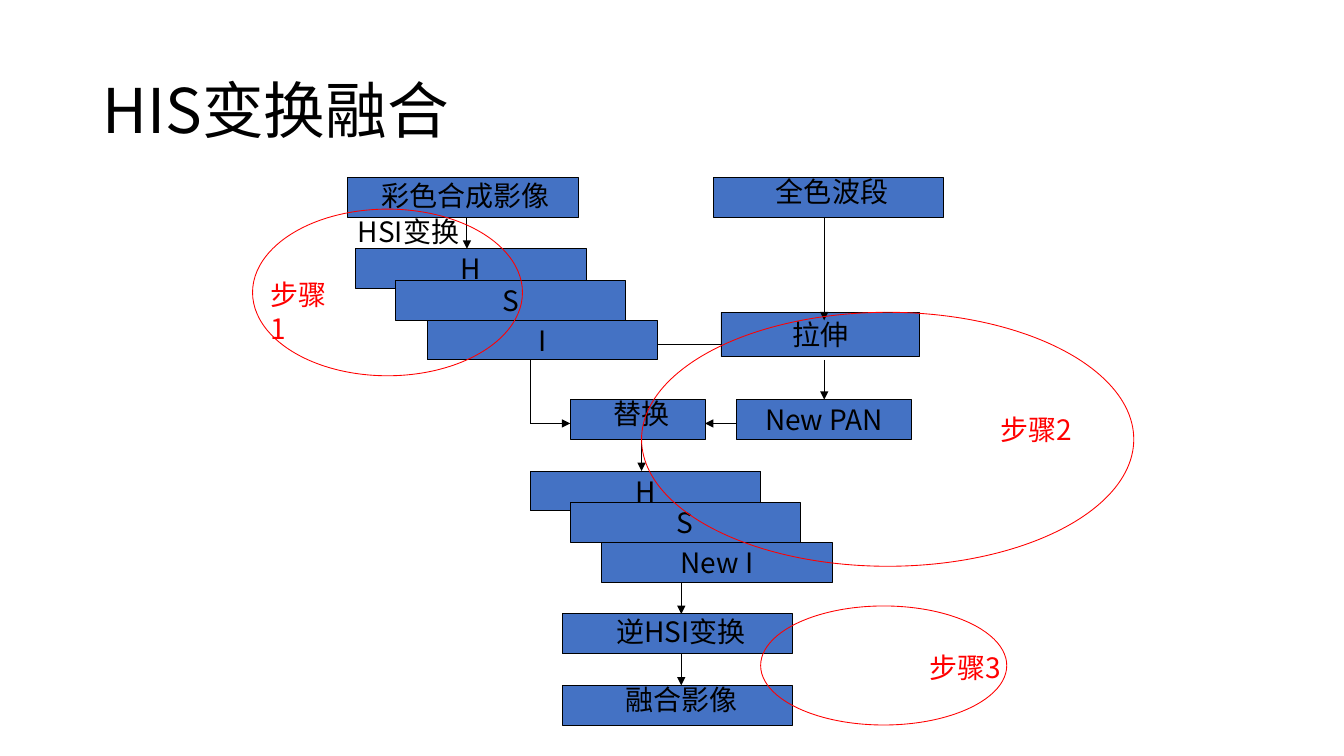
"""Build the HIS transform fusion flowchart slide on a 2 mm grid."""
import pptx
import pptx.dml.color
import pptx.enum.shapes
import pptx.enum.text
import pptx.oxml.ns
import pptx.util
import lxml.etree

RGB = pptx.dml.color.RGBColor.from_string
SHAPE = pptx.enum.shapes.MSO_SHAPE
ALIGN = pptx.enum.text.PP_ALIGN
ANCHOR = pptx.enum.text.MSO_ANCHOR
THEME = {
    "font": "Noto Sans CJK SC", "title": 44, "body": 20, "line": 0.63,
    "ink": RGB("000000"), "box": RGB("4472C4"), "step": RGB("FF0000"),
}
UNIT = pptx.util.Mm(2)
LEFT, TOP = pptx.util.Inches(3.45), pptx.util.Inches(1.76)
BOX_W, BOX_H, LABEL_W, LABEL_H = 29, 5, 24, 5.6


def place(col, row, *size):
    """Turn grid columns and rows into slide lengths."""
    return [int(LEFT + col * UNIT), int(TOP + row * UNIT)] + [int(n * UNIT) for n in size]


def write(sp, text, size=THEME["body"], color=THEME["ink"], align=ALIGN.LEFT, anchor=ANCHOR.TOP):
    """Set and format one line of text in a shape."""
    tf = sp.text_frame
    tf.text = text
    tf.word_wrap = True
    tf.vertical_anchor = anchor
    p = tf.paragraphs[0]
    p.alignment = align
    f = p.runs[0].font
    f.size, f.name, f.color.rgb = pptx.util.Pt(size), THEME["font"], color
    ea = lxml.etree.SubElement(p.runs[0]._r.get_or_add_rPr(), pptx.oxml.ns.qn("a:ea"))
    ea.set("typeface", THEME["font"])
    return p


prs = pptx.Presentation()
prs.slide_width, prs.slide_height = pptx.util.Inches(13.33), pptx.util.Inches(7.5)
s = prs.slides.add_slide(prs.slide_layouts[6])

title = s.shapes.add_textbox(*[pptx.util.Inches(n) for n in (0.92, 0.4, 11.5, 1.45)])
write(title, "HIS变换融合", THEME["title"], anchor=ANCHOR.MIDDLE).line_spacing = 0.9

arrows_behind = [(39, 21, 51, 21, True)]
arrows_front = [
    (15, 5, 15, 9, True),
    (60, 5, 60, 18, True),
    (60, 23, 60, 28, True),
    (23, 23, 23, 31, False),
    (23, 31, 28, 31, True),
    (49, 31, 45, 31, True),
    (37, 33, 37, 37, True),
    (42, 51, 42, 55, True),
    (42, 60, 42, 64, True),
]
boxes = [
    (0, 0, BOX_W, BOX_H, ""),
    (46, 0, BOX_W, BOX_H, ""),
    (47, 17, 25, LABEL_H, "拉伸"),
    (1, 9, BOX_W, BOX_H, "H"),
    (6, 13, BOX_W, BOX_H, "S"),
    (10, 18, BOX_W, BOX_H, "I"),
    (49, 28, 22, BOX_H, "New PAN"),
    (28, 28, 17, BOX_H, ""),
    (23, 37, BOX_W, BOX_H, "H"),
    (28, 41, BOX_W, BOX_H, "S"),
    (32, 46, BOX_W, BOX_H, "New I"),
    (27, 55, BOX_W, BOX_H, ""),
    (27, 64, BOX_W, BOX_H, ""),
]
labels = [
    (3, -0.5, LABEL_W, "彩色合成影像", ALIGN.LEFT),
    (49, -1, LABEL_W, "全色波段", ALIGN.CENTER),
    (0, 4, BOX_W, "HSI变换", ALIGN.LEFT),
    (25, 27, LABEL_W, "替换", ALIGN.CENTER),
    (30, 54.5, LABEL_W, "逆HSI变换", ALIGN.CENTER),
    (30, 63, LABEL_W, "融合影像", ALIGN.CENTER),
]
steps = [
    ((-12, 4, 34, 21), (-11, 12, 11.4), "步骤1"),
    ((37, 17, 62, 32), (81, 29, 15), "步骤2"),
    ((52, 54, 31, 15), (72, 59, 21), "步骤3"),
]

for arrows, layer in ((arrows_behind, boxes), (arrows_front, [])):
    for x1, y1, x2, y2, head in arrows:
        ends = place(x1, y1) + place(x2, y2)
        c = s.shapes.add_connector(pptx.enum.shapes.MSO_CONNECTOR.STRAIGHT, *ends)
        c.line.width, c.line.color.rgb = pptx.util.Pt(THEME["line"]), THEME["ink"]
        if head:
            tail = lxml.etree.SubElement(c.line._get_or_add_ln(), pptx.oxml.ns.qn("a:tailEnd"))
            tail.set("type", "triangle")
        lxml.etree.SubElement(c._element.spPr, pptx.oxml.ns.qn("a:effectLst"))
    for col, row, w, h, text in layer:
        plain = h == LABEL_H
        kind = SHAPE.RECTANGLE if plain else SHAPE.FLOWCHART_PROCESS
        sp = s.shapes.add_shape(kind, *place(col, row, w, h))
        sp.shadow.inherit = False
        sp.fill.solid()
        sp.fill.fore_color.rgb = THEME["box"]
        sp.line.width, sp.line.color.rgb = pptx.util.Pt(THEME["line"]), THEME["ink"]
        if text:
            anchor = ANCHOR.TOP if plain else ANCHOR.MIDDLE
            write(sp, text, align=ALIGN.CENTER, anchor=anchor)

for col, row, w, text, align in labels:
    write(s.shapes.add_textbox(*place(col, row, w, LABEL_H)), text, align=align)

for oval, label, text in steps:
    sp = s.shapes.add_shape(SHAPE.OVAL, *place(*oval))
    sp.shadow.inherit = False
    sp.fill.background()
    sp.line.width, sp.line.color.rgb = pptx.util.Pt(THEME["line"]), THEME["step"]
    col, row, w = label
    write(s.shapes.add_textbox(*place(col, row, w, LABEL_H)), text, color=THEME["step"])

prs.save("out.pptx")
